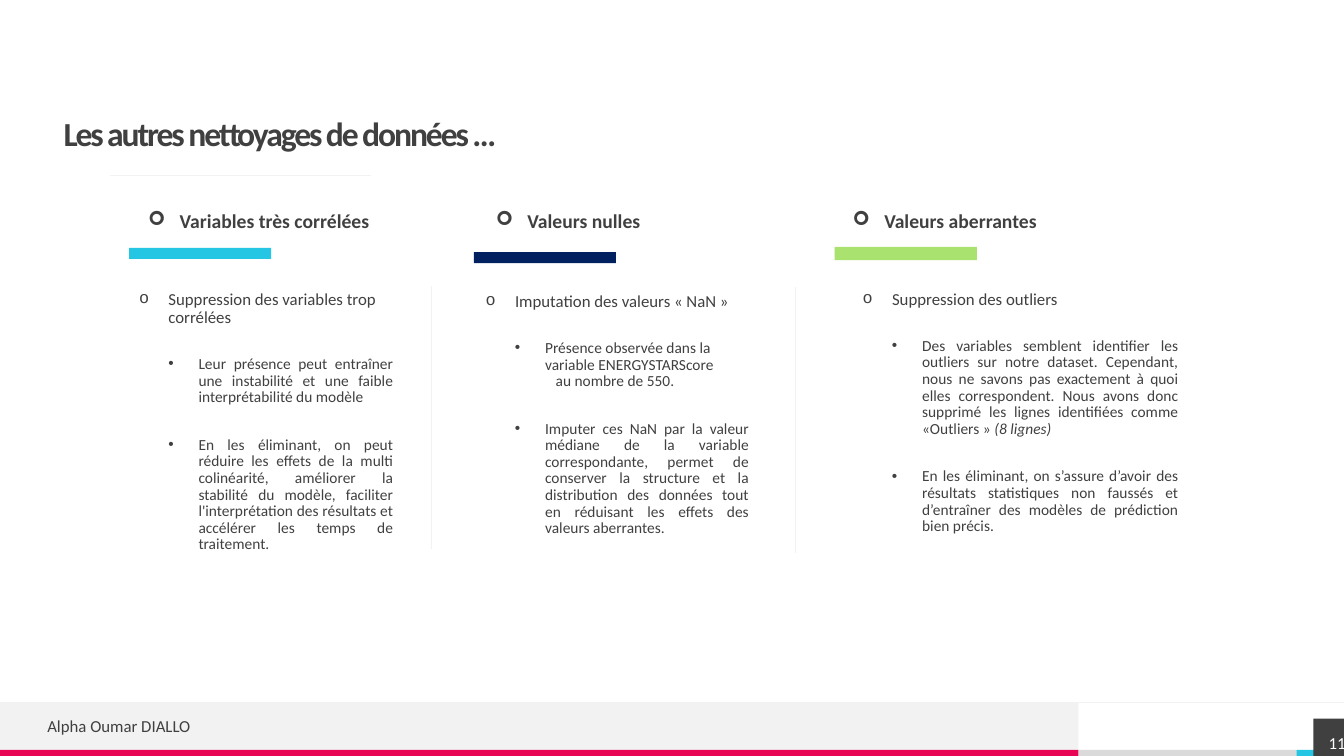
from dataclasses import dataclass
from typing import NamedTuple

from lxml.etree import SubElement
from pptx import Presentation
from pptx.dml.color import RGBColor
from pptx.enum.shapes import MSO_CONNECTOR, MSO_SHAPE
from pptx.enum.text import MSO_ANCHOR, PP_ALIGN
from pptx.oxml.ns import qn
from pptx.util import Pt


@dataclass(frozen=True)
class Theme:
    """Colours, font and type sizes of the deck."""
    font: str = "Calibri"
    ink: str = "404040"
    white: str = "FFFFFF"
    pale: str = "F2F2F2"
    gray: str = "DADADA"
    pink: str = "E80554"
    cyan: str = "25C6E3"
    navy: str = "002060"
    green: str = "A9E26F"
    title: float = 24
    heading: float = 14
    body: float = 12
    detail: float = 11


T = Theme()
BULLET_FONTS = {"➢": "Wingdings", "o": "Courier New", "•": "Arial"}


class Box(NamedTuple):
    """Left, top, width and height in points."""
    x: float
    y: float
    w: float
    h: float


class Detail(NamedTuple):
    """A second-level paragraph and its format."""
    text: str
    before: float
    italic_end: str = ""
    align: PP_ALIGN = PP_ALIGN.JUSTIFY
    bullet: str = "•"
    left: float = 42.5
    hang: float = 21.6


@dataclass(frozen=True)
class Column:
    """A headed column with its colour bar."""
    heading: str
    head_x: float
    bar: Box
    color: str
    body: Box
    lead: str
    details: tuple[Detail, ...]


COLUMNS = (
    Column("Variables très corrélées", 105.8, Box(92.2, 177.1, 101.5, 7.9), T.cyan,
           Box(92.2, 204.5, 195.8, 190.8), "Suppression des variables trop corrélées", (
               Detail("Leur présence peut entraîner une instabilité et une faible "
                      "interprétabilité du modèle", 20.5),
               Detail("En les éliminant, on peut réduire les effets de la multi colinéarité, "
                      "améliorer la stabilité du modèle, faciliter l'interprétation des "
                      "résultats et accélérer les temps de traitement.", 22))),
    Column("Valeurs nulles", 354.2, Box(338.4, 180, 101.5, 7.9), T.navy,
           Box(339.8, 205.9, 202.3, 190.8), "Imputation des valeurs « NaN »", (
               Detail("Présence observée dans la variable ENERGYSTARScore", 20.5,
                      align=PP_ALIGN.LEFT),
               Detail("au nombre de 550.", 0, align=PP_ALIGN.LEFT, bullet="",
                      left=50, hang=0),
               Detail("Imputer ces NaN par la valeur médiane de la variable correspondante, "
                      "permet de conserver la structure et la distribution des données tout "
                      "en réduisant les effets des valeurs aberrantes.", 22))),
    Column("Valeurs aberrantes", 609.1, Box(596.2, 176.4, 101.5, 9.4), T.green,
           Box(609.1, 204.5, 239.8, 256.3), "Suppression des outliers", (
               Detail("Des variables semblent identifier les outliers sur notre dataset. "
                      "Cependant, nous ne savons pas exactement à quoi elles correspondent. "
                      "Nous avons donc supprimé les lignes identifiées comme «Outliers » ",
                      20.5, italic_end="(8 lignes)"),
               Detail("En les éliminant, on s’assure d’avoir des résultats statistiques non "
                      "faussés et d’entraîner des modèles de prédiction bien précis.", 22))),
)

BANDS = (
    (Box(770.4, 535.7, 156.2, 4.3), T.gray),
    (Box(0, 501.8, 770.4, 33.9), T.pale),
    (Box(0, 535.7, 770.4, 4.3), T.pink),
    (Box(926.2, 535.7, 33.8, 4.3), T.cyan),
)

RULES = (
    (0, 501.8, 960, 501.8),
    (78.5, 125.3, 265, 125.3),
    (308.2, 204.5, 308.2, 392.4),
    (568.1, 205.2, 568.1, 395.3),
)


def add_rect(s, box: Box, color: str):
    """Draw a plain filled rectangle."""
    sp = s.shapes.add_shape(MSO_SHAPE.RECTANGLE, *map(Pt, box))
    sp.shadow.inherit = False
    sp.fill.solid()
    sp.fill.fore_color.rgb = RGBColor.from_string(color)
    sp.line.fill.background()
    return sp


def add_rule(s, ends: tuple[float, ...]) -> None:
    """Draw a pale hairline."""
    cn = s.shapes.add_connector(MSO_CONNECTOR.STRAIGHT, *map(Pt, ends))
    cn.line.color.rgb = RGBColor.from_string(T.pale)
    cn.line.width = Pt(0.5)
    SubElement(cn._element.spPr, qn("a:effectLst"))


def set_frame(tf, inset: tuple[float, ...] = (0, 0, 0, 0), anchor=MSO_ANCHOR.TOP):
    """Set wrapping, margins and anchor of a text frame."""
    tf.word_wrap = True
    tf.margin_left, tf.margin_top, tf.margin_right, tf.margin_bottom = map(Pt, inset)
    tf.vertical_anchor = anchor
    return tf


def add_box(s, box: Box, **frame):
    """Add a text box and return its frame."""
    return set_frame(s.shapes.add_textbox(*map(Pt, box)).text_frame, **frame)


def add_run(p, text: str, *, size: float = T.body, color: str = T.ink,
            bold: bool = False, italic: bool = False, spacing: float = 0) -> None:
    """Append a formatted run."""
    r = p.add_run()
    r.text = text
    f = r.font
    f.name, f.size, f.bold, f.italic = T.font, Pt(size), bold, italic
    f.color.rgb = RGBColor.from_string(color)
    if spacing:
        r._r.get_or_add_rPr().set("spc", str(round(spacing * 100)))


def add_para(tf, text: str, *, align=PP_ALIGN.LEFT, line=None, before: float = 0,
             bullet: str = "", left: float = 0, hang: float = 0, level: int = 0, **run):
    """Append a formatted paragraph, filling the empty first one."""
    p = tf.paragraphs[0] if not tf.paragraphs[0].runs else tf.add_paragraph()
    pPr = p._p.get_or_add_pPr()
    pPr.set("marL", str(Pt(left)))
    pPr.set("indent", str(-Pt(hang)))
    if bullet:
        SubElement(pPr, qn("a:buFont")).set("typeface", BULLET_FONTS[bullet])
        SubElement(pPr, qn("a:buChar")).set("char", bullet)
    p.alignment, p.level, p.space_before = align, level, Pt(before)
    if line:
        p.line_spacing = line
    add_run(p, text, **run)
    return p


def add_column(s, col: Column) -> None:
    """Draw a heading, its bar and the text below."""
    tf = add_box(s, Box(col.head_x, 151.2, 202.3, 14.4))
    add_para(tf, col.heading, size=T.heading, bold=True, line=0.9,
             bullet="➢", left=22.5, hang=22.5)
    add_rect(s, col.bar, col.color)
    tf = add_box(s, col.body, inset=(7.2, 3.6, 7.2, 3.6))
    add_para(tf, col.lead, line=0.9, bullet="o", left=21, hang=21)
    for d in col.details:
        p = add_para(tf, d.text, size=T.detail, line=0.9, before=d.before, level=1,
                     align=d.align, bullet=d.bullet, left=d.left, hang=d.hang)
        if d.italic_end:
            add_run(p, d.italic_end, size=T.detail, italic=True)


def add_footer(s) -> None:
    """Draw the author and page number."""
    tf = add_box(s, Box(33.8, 506.9, 445.7, 23), anchor=MSO_ANCHOR.MIDDLE)
    add_para(tf, "Alpha Oumar DIALLO")
    sp = add_rect(s, Box(938.2, 513.4, 33.8, 33.8), T.ink)
    tf = set_frame(sp.text_frame, anchor=MSO_ANCHOR.MIDDLE)
    add_para(tf, "11", color=T.white, align=PP_ALIGN.CENTER)


def main() -> None:
    """Build and save the slide."""
    prs = Presentation()
    prs.slide_width, prs.slide_height = Pt(960), Pt(540)
    s = prs.slides.add_slide(prs.slide_layouts[6])
    for box, color in BANDS:
        add_rect(s, box, color)
    for ends in RULES:
        add_rule(s, ends)
    tf = add_box(s, Box(45.4, 79.9, 892.8, 33.8), anchor=MSO_ANCHOR.MIDDLE)
    add_para(tf, "Les autres nettoyages de données …", size=T.title, bold=True,
             spacing=-1.5, line=0.9)
    for col in COLUMNS:
        add_column(s, col)
    add_footer(s)
    prs.save("out.pptx")


if __name__ == "__main__":
    main()
